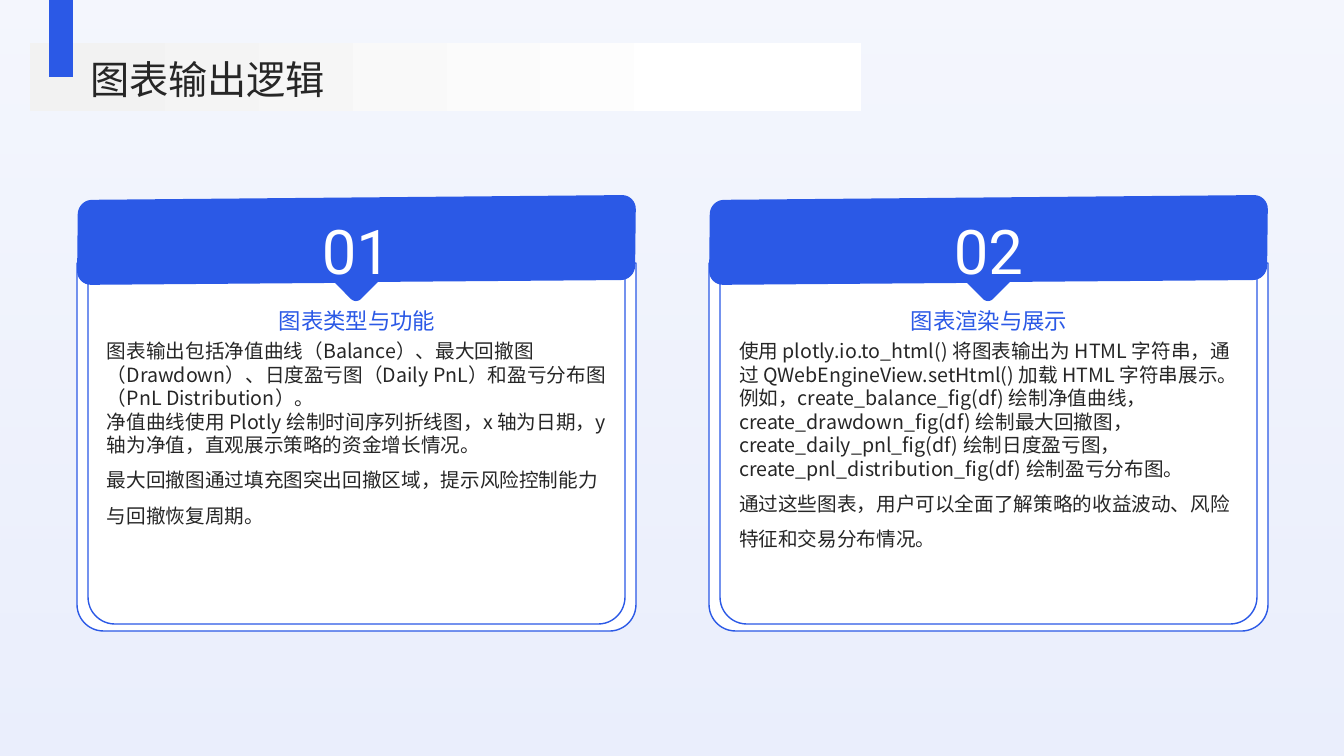
"""Build the slide on chart output logic with two numbered cards."""
from math import cos, hypot, pi, sin

from lxml.etree import SubElement
from pptx import Presentation
from pptx.dml.color import RGBColor
from pptx.enum.shapes import MSO_SHAPE
from pptx.enum.text import MSO_ANCHOR, PP_ALIGN
from pptx.oxml.ns import qn
from pptx.util import Pt

PX = 12192000 / 1344
PITCH = 632
STEPS = 8
SANS = "Noto Sans CJK SC"
HUE = {"blue": "2B59E6", "ink": "262626", "white": "FFFFFF", "pale": "D5DEFA", "gray": "F2F2F2"}
RGB = {name: RGBColor.from_string(code) for name, code in HUE.items()}

deck = Presentation()
deck.slide_width, deck.slide_height = round(1344 * PX), round(756 * PX)
slide = deck.slides.add_slide(deck.slide_layouts[6])
shapes = slide.shapes


def add_box(kind, box, fill=None, line=None, stops=None, angle=0):
    shape = shapes.add_shape(kind, *[round(n * PX) for n in box])
    shape.shadow.inherit = False
    if stops:
        shape.fill.gradient()
        shape.fill.gradient_angle = angle
        for stop, (place, hue) in zip(shape.fill.gradient_stops, stops):
            stop.position = place
            stop.color.rgb = RGB[hue]
    else:
        shape.fill.solid()
        shape.fill.fore_color.rgb = RGB[fill]
    if line:
        shape.line.color.rgb = RGB[line]
        shape.line.width = Pt(1)
    else:
        shape.line.fill.background()
    return shape


def add_text(box, *lines, size, hue, font=SANS, align=PP_ALIGN.LEFT,
             anchor=MSO_ANCHOR.MIDDLE, gaps=(1.3,)):
    frame = shapes.add_textbox(*[round(n * PX) for n in box]).text_frame
    frame.word_wrap = True
    frame.vertical_anchor = anchor
    frame.margin_left = frame.margin_right = frame.margin_top = frame.margin_bottom = 0
    frame.text = "\n".join(lines)
    for para, gap in zip(frame.paragraphs, gaps):
        para.alignment = align
        para.line_spacing = gap
        run = para.runs[0]
        run.font.size = Pt(size)
        run.font.color.rgb = RGB[hue]
        run.font.name = font
        SubElement(run.font._element, qn("a:ea"), typeface=font)


back = add_box(MSO_SHAPE.RECTANGLE, (0, 0, 1344, 756),
               stops=[(0, "pale"), (1, "pale")], angle=90)
for tint, alpha in zip(back._element.xpath(".//a:gs/a:srgbClr"), (49000, 25000)):
    SubElement(tint, qn("a:alpha"), val=str(alpha))

BANNER = [(78, 200, 14), (636, 195, 14), (635, 280, 14), (378, 282, 0),
          (356, 304, 7), (335, 283, 0), (77, 285, 14)]
outline = []
for i, (x, y, r) in enumerate(BANNER):
    arms = []
    for ex, ey, _ in (BANNER[i - 1], BANNER[(i + 1) % len(BANNER)]):
        span = hypot(ex - x, ey - y)
        arms.append(((ex - x) * r / span, (ey - y) * r / span))
    (ax, ay), (bx, by) = arms
    for n in range(STEPS + 1 if r else 1):
        turn = n / STEPS * pi / 2
        a, b = 1 - sin(turn), 1 - cos(turn)
        outline.append((x + ax * a + bx * b, y + ay * a + by * b))

CARDS = [
    ("01", "图表类型与功能", (
        "图表输出包括净值曲线（Balance）、最大回撤图（Drawdown）、日度盈亏图（Daily PnL）和盈亏分布图（PnL Distribution）。",
        "净值曲线使用 Plotly 绘制时间序列折线图，x 轴为日期，y 轴为净值，直观展示策略的资金增长情况。",
        "最大回撤图通过填充图突出回撤区域，提示风险控制能力与回撤恢复周期。")),
    ("02", "图表渲染与展示", (
        "使用 plotly.io.to_html() 将图表输出为 HTML 字符串，通过 QWebEngineView.setHtml() 加载 HTML 字符串展示。",
        "例如，create_balance_fig(df) 绘制净值曲线，create_drawdown_fig(df) 绘制最大回撤图，"
        "create_daily_pnl_fig(df) 绘制日度盈亏图，create_pnl_distribution_fig(df) 绘制盈亏分布图。",
        "通过这些图表，用户可以全面了解策略的收益波动、风险特征和交易分布情况。")),
]
for i, (label, head, body) in enumerate(CARDS):
    dx = i * PITCH
    for x, y, w, h in ((77, 263, 559, 368), (88, 250, 537, 374)):
        panel = add_box(MSO_SHAPE.ROUND_2_SAME_RECTANGLE, (x + dx, y, w, h), "white", "blue")
        panel.adjustments[0] = 0.072
        panel.rotation = 180
    points = [((x + dx) * PX, y * PX) for x, y in outline]
    path = shapes.build_freeform(*points[0])
    path.add_line_segments(points[1:])
    banner = path.convert_to_shape()
    banner.shadow.inherit = False
    banner.fill.solid()
    banner.fill.fore_color.rgb = RGB["blue"]
    banner.line.fill.background()
    add_text((165 + dx, 209, 383, 59), label, size=44, hue="white", font="Roboto",
             align=PP_ALIGN.CENTER)
    add_text((107 + dx, 339, 500, 262), *body, size=14, hue="ink",
             anchor=MSO_ANCHOR.TOP, gaps=(1.0, 1.0, 1.5))
    add_text((107 + dx, 270, 500, 93), head, size=16, hue="blue", align=PP_ALIGN.CENTER)

add_box(MSO_SHAPE.RECTANGLE, (30, 43, 831, 68), stops=[(0.05, "gray"), (0.84, "white")])
add_box(MSO_SHAPE.RECTANGLE, (49, 0, 24, 77), "blue")
add_text((90, 51, 1179, 51), "图表输出逻辑", size=28, hue="ink", gaps=(1.1,))

deck.save("out.pptx")
